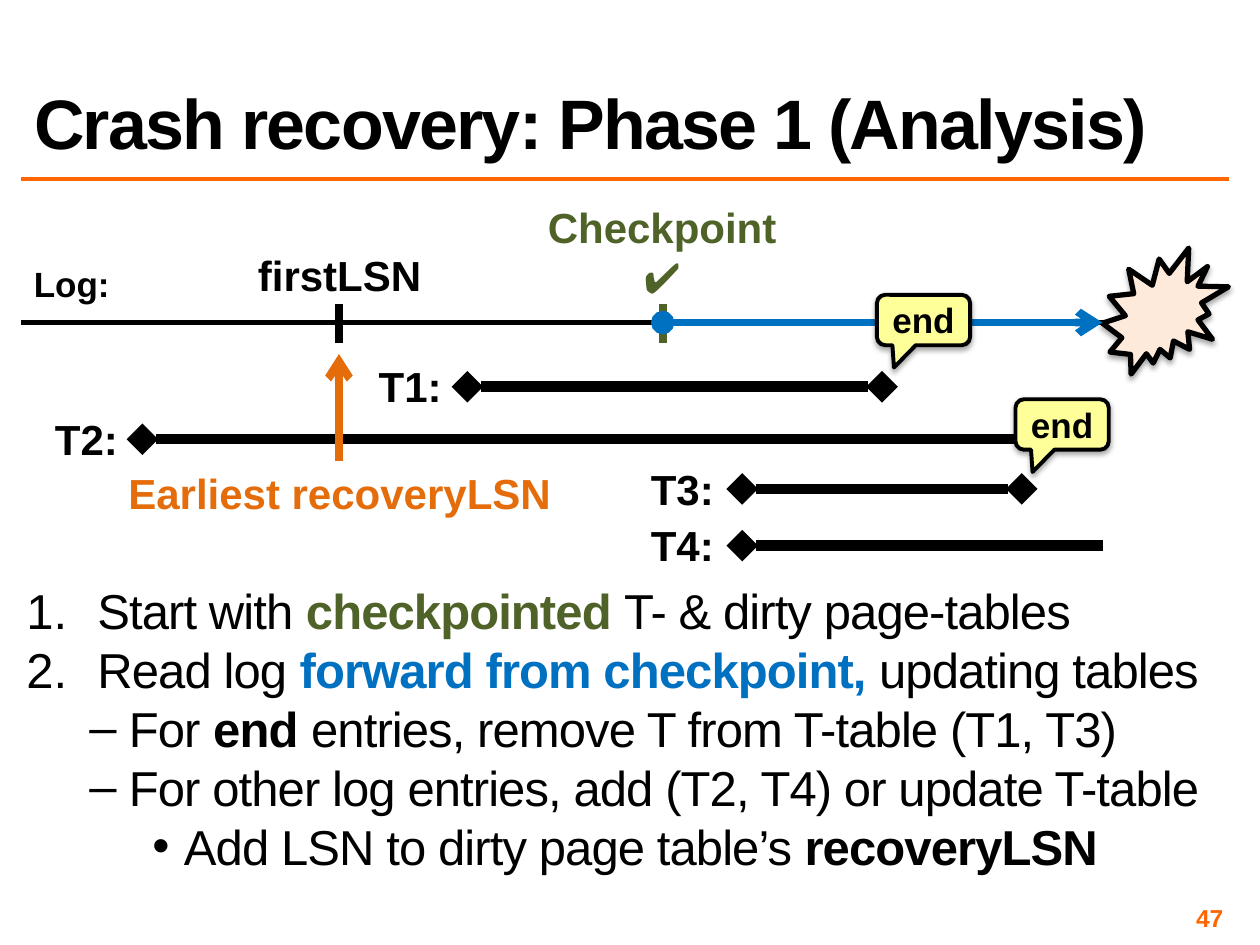
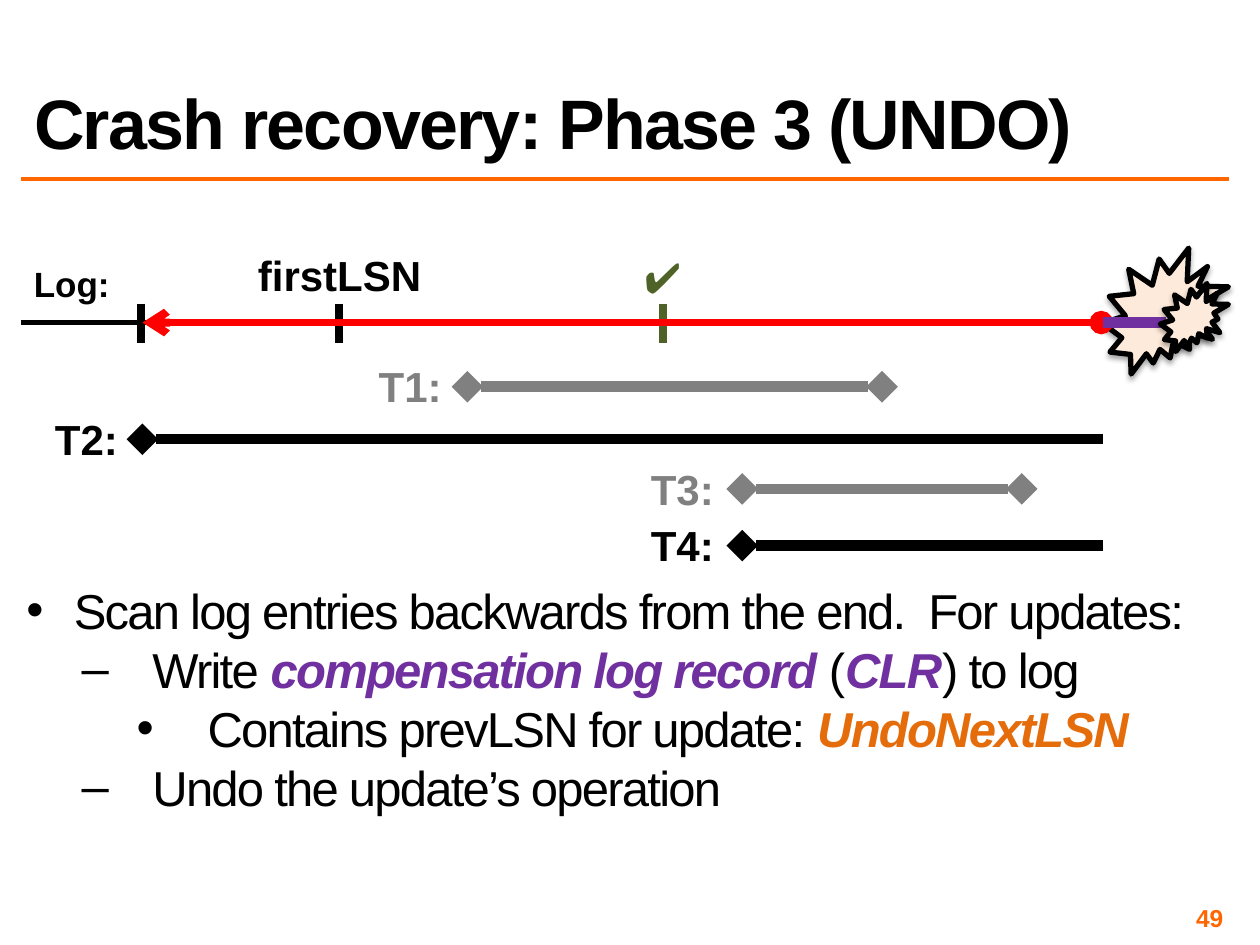
from pptx import Presentation
from pptx.dml.color import RGBColor as Rgb
from pptx.enum.shapes import MSO_CONNECTOR as Link, MSO_SHAPE as Form
from pptx.enum.text import MSO_ANCHOR as Anchor, MSO_AUTO_SIZE as Fit, PP_ALIGN as Align
from pptx.oxml.ns import qn
from pptx.util import Pt
from lxml.etree import SubElement as Sub

HUES = {"black": "000000", "grey": "808080", "rule": "FF6600", "orange": "E46C0A",
        "green": "4F6228", "blue": "0070C0", "red": "FF0000", "purple": "7030A0",
        "peach": "FDEADA", "yellow": "FFFF99"}
FACE = "Arial"
LEFT, WIDE = 12.24, 689.76
AXIS, CRASH = 184.32, 630
FIRST, CHECK = 193.7, 378.7
TRACKS = [("T2:", 23.8, 81.4, CRASH, 251, False),
          ("T4:", 364.3, 424.1, CRASH, 311.8, False),
          ("T1:", 208.8, 267.1, 504, 221, True),
          ("T3:", 364.3, 424.1, 583.9, 279.4, True)]

PHASE_ONE = [
    (0, 40.5, -40.5, "1.", [("Start with ",), ("checkpointed ", "green", True),
                            ("T- & dirty page-tables",)]),
    (0, 40.5, -40.5, "2.", [("Read log ",), ("forward from checkpoint, ", "blue", True),
                            ("updating tables",)]),
    (1, 58.5, -22.5, "–", [("For ",), ("end", "black", True),
                           (" entries, remove T from T-table (T1, T3)",)]),
    (1, 58.5, -22.5, "–", [("For other log entries, add (T2, T4) or update T-table",)]),
    (2, 90, -18, "•", [("Add LSN to dirty page table’s ",),
                       ("recoveryLSN", "black", True)])]
PHASE_THREE = [
    (0, 27, -27, "•", [("Scan log entries backwards from the end.  For updates:",)]),
    (1, 72, -40.5, "–", [("Write ",), ("compensation log record ", "purple", True, True),
                         ("(",), ("CLR", "purple", True, True), (") to log",)]),
    (2, 103.5, -40.5, "•", [("Contains prevLSN for update: ",),
                            ("UndoNextLSN", "orange", True, True)]),
    (1, 72, -40.5, "–", [("Undo the update’s operation",)])]


def tint(name):
    return Rgb.from_string(HUES[name])


def put(item, **vals):
    for key, val in vals.items():
        setattr(item, key, val)


def write(para, text, size, hue="black", bold=False, slant=False, space=0):
    run = para.add_run()
    run.text = text
    put(run.font, name=FACE, size=Pt(size), bold=bold, italic=slant)
    run.font.color.rgb = tint(hue)
    if space:
        run.font._element.set("spc", str(int(space * 100)))


def place(shape, left, top, width, height):
    put(shape, left=Pt(left), top=Pt(top), width=Pt(width), height=Pt(height))


def inset(frame, size):
    put(frame, **{f"margin_{side}": Pt(size) for side in ("left", "top", "right", "bottom")})


def line(slide, start, end, hue, width, head=None, tail=None):
    wire = slide.shapes.add_connector(Link.STRAIGHT, *map(Pt, (*start, *end)))
    wire.line.width = Pt(width)
    wire.line.color.rgb = tint(hue)
    pen = wire.line._get_or_add_ln()
    for tag, kind in (("a:headEnd", head), ("a:tailEnd", tail)):
        if kind:
            Sub(pen, qn(tag), type=kind)
    Sub(wire._element.spPr, qn("a:effectLst"))


def tick(slide, x, hue="black"):
    line(slide, (x, 173.5), (x, 195.8), hue, 4.5)


def label(slide, box, rows, hue="black", size=24, align=Align.CENTER):
    frame = slide.shapes.add_textbox(*map(Pt, box)).text_frame
    put(frame, word_wrap=False, auto_size=Fit.SHAPE_TO_FIT_TEXT)
    for num, text in enumerate(rows):
        para = frame.add_paragraph() if num else frame.paragraphs[0]
        para.alignment = align
        write(para, text, size, hue, True)


def form(slide, kind, box, fill, width):
    shape = slide.shapes.add_shape(kind, *map(Pt, box))
    shape.fill.solid()
    shape.fill.fore_color.rgb = tint(fill)
    shape.line.color.rgb = tint("black")
    shape.line.width = Pt(width)
    shape.shadow.inherit = False
    glow = Sub(shape._element.spPr.find(qn("a:effectLst")), qn("a:outerShdw"),
               blurRad="40000", dist="23000", dir="5400000", rotWithShape="0")
    Sub(Sub(glow, qn("a:srgbClr"), val=HUES["black"]), qn("a:alpha"), val="35000")
    return shape


def burst(slide, left, top, size):
    form(slide, Form.EXPLOSION2, (left, top, size, size), "peach", 3)


def flag(slide, left, top):
    shape = form(slide, Form.ROUNDED_RECTANGULAR_CALLOUT, (left, top, 53.3, 28.8), "yellow", 2.25)
    for num, val in enumerate((-0.317, 0.942, 0.167)):
        shape.adjustments[num] = val
    shape.text_frame.vertical_anchor = Anchor.MIDDLE
    para = shape.text_frame.paragraphs[0]
    para.alignment = Align.CENTER
    write(para, "end", 20, bold=True)


def track(slide, name, left, start, end, y, ended, hue):
    line(slide, (start, y), (end, y), hue, 6, "diamond", "diamond" if ended else None)
    label(slide, (left, y - 18.3, 51.1, 36), [name], hue)


def points(slide, items, space):
    frame = slide.shapes.add_textbox(*map(Pt, (LEFT, 335.5, WIDE, 175))).text_frame
    frame.word_wrap = True
    inset(frame, 2.88)
    for num, (level, margin, indent, mark, runs) in enumerate(items):
        para = frame.add_paragraph() if num else frame.paragraphs[0]
        put(para, level=level, line_spacing=0.8, space_before=Pt(6.8))
        props = para._p.get_or_add_pPr()
        props.set("marL", str(Pt(margin)))
        props.set("indent", str(Pt(indent)))
        Sub(props, qn("a:buFont"), typeface=FACE)
        if mark.endswith("."):
            Sub(props, qn("a:buAutoNum"), type="arabicPeriod")
        else:
            Sub(props, qn("a:buChar"), char=mark)
        for text, *style in runs:
            write(para, text, 28, *style, space=space)


def page(deck, title, number):
    slide = deck.slides.add_slide(deck.slide_layouts[5])
    line(slide, (LEFT, 102.2), (LEFT + WIDE, 102.2), "rule", 2)
    place(slide.shapes.title, LEFT, 12.24, WIDE, 84.2)
    frame = slide.shapes.title.text_frame
    put(frame, vertical_anchor=Anchor.BOTTOM, auto_size=Fit.NONE, word_wrap=True)
    para = frame.paragraphs[0]
    put(para, alignment=Align.LEFT, line_spacing=0.8)
    write(para, title, 40, bold=True, space=-1)

    foot = slide.shapes.add_textbox(*map(Pt, (534.2, 516.2, 167.8, 16.6))).text_frame
    put(foot, vertical_anchor=Anchor.MIDDLE, word_wrap=True)
    inset(foot, 2.88)
    foot.paragraphs[0].alignment = Align.RIGHT
    write(foot.paragraphs[0], str(number), 14, "rule", True)
    return slide


def chart(slide, done):
    """Draw the log axis, its marks and the transaction tracks."""
    line(slide, (LEFT, AXIS), (CRASH, AXIS), "black", 3)
    burst(slide, CRASH, 141.8, 72)
    tick(slide, CHECK, "green")
    for *spot, ended in TRACKS:
        track(slide, *spot, ended, done if ended else "black")
    tick(slide, FIRST)
    label(slide, (139.7, 139, 108.7, 36), ["firstLSN"])
    label(slide, (LEFT, 146.2, 58.3, 31.7), ["Log:"], size=20, align=Align.LEFT)


def main():
    deck = Presentation()
    put(deck, slide_width=Pt(720), slide_height=Pt(540))

    slide = page(deck, "Crash recovery: Phase 1 (Analysis)", 47)
    chart(slide, "black")
    label(slide, (305.3, 111.6, 146.2, 65.5), ["Checkpoint", "✔"], "green")
    line(slide, (CHECK, AXIS), (CRASH, AXIS), "blue", 4.5, "oval", "arrow")
    flag(slide, 501.1, 168.5)
    flag(slide, 580.3, 228.2)
    label(slide, (64.8, 263.5, 258.5, 36), ["Earliest recoveryLSN"], "orange")
    line(slide, (FIRST, 263.5), (FIRST, 202.3), "orange", 4.5, tail="arrow")
    points(slide, PHASE_ONE, -0.5)

    slide = page(deck, "Crash recovery: Phase 3 (UNDO)", 49)
    chart(slide, "grey")
    label(slide, (359.3, 140.4, 38.9, 36), ["✔"], "green")
    tick(slide, 80.6)
    line(slide, (CRASH - 0.7, AXIS), (81.4, AXIS), "red", 4.5, "oval", "arrow")
    line(slide, (CRASH, AXIS), (666, AXIS), "purple", 6)
    burst(slide, 663.1, 162, 38.9)
    points(slide, PHASE_THREE, -1)

    deck.save("out.pptx")


if __name__ == "__main__":
    main()
